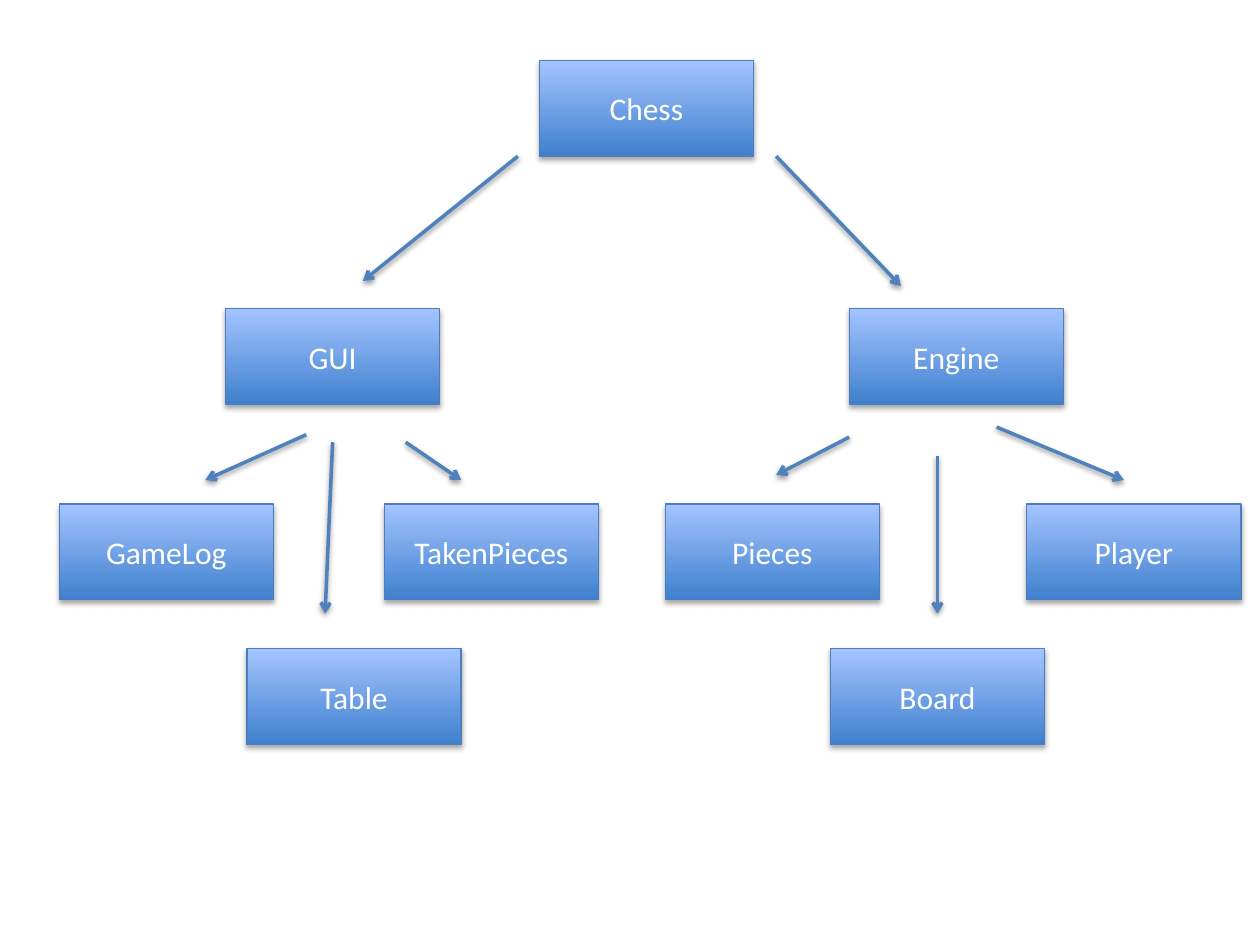
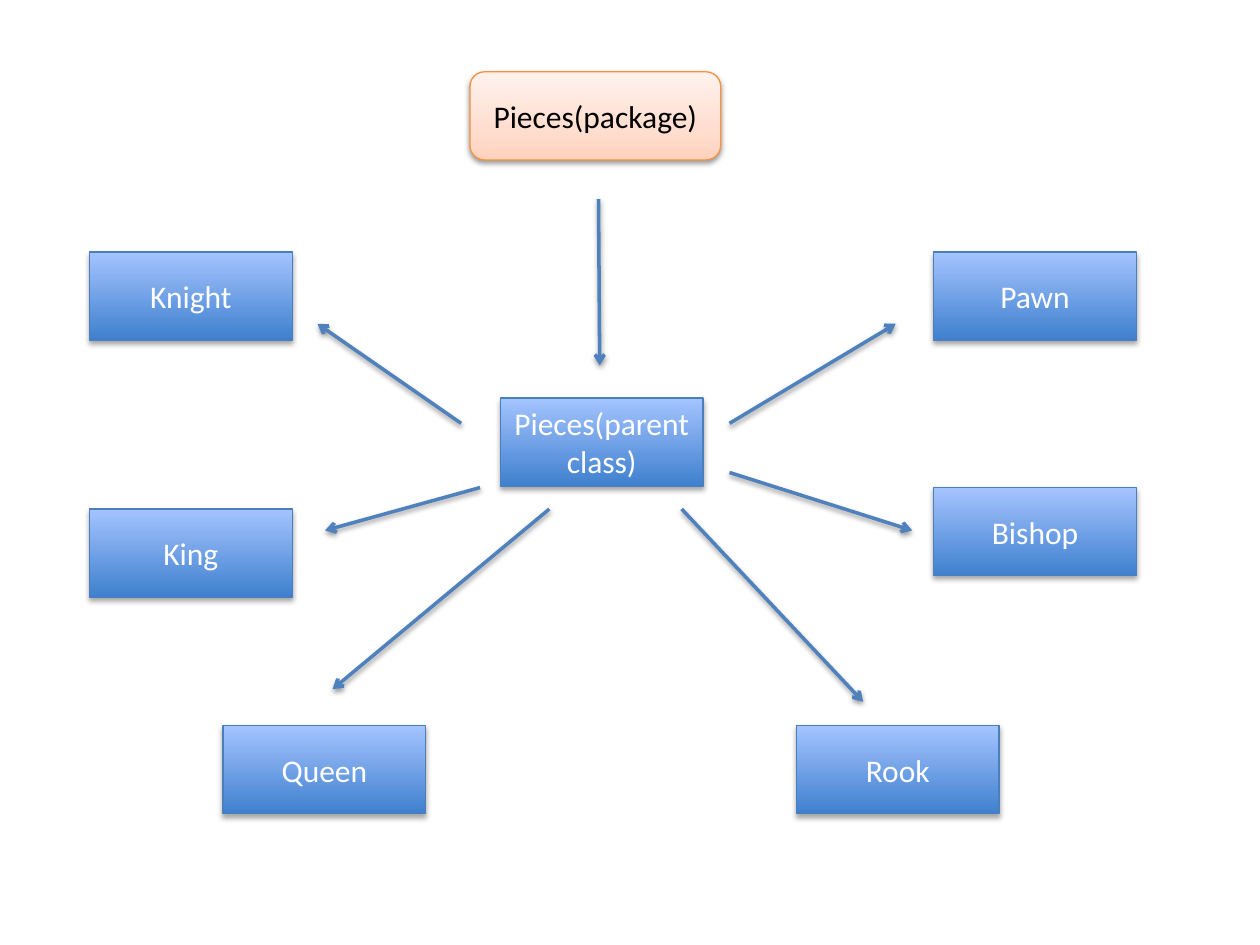
from copy import deepcopy

from lxml import etree
from pptx import Presentation
from pptx.dml.color import RGBColor
from pptx.enum.shapes import MSO_CONNECTOR, MSO_SHAPE
from pptx.enum.text import MSO_ANCHOR, PP_ALIGN
from pptx.oxml.ns import qn
from pptx.util import Inches, Pt

RECTANGLE, ROUNDED = MSO_SHAPE.RECTANGLE, MSO_SHAPE.ROUNDED_RECTANGLE
STRAIGHT = MSO_CONNECTOR.STRAIGHT
MIDDLE, CENTER = MSO_ANCHOR.MIDDLE, PP_ALIGN.CENTER

WHITE = RGBColor(0xFF, 0xFF, 0xFF)
BLACK = RGBColor(0x00, 0x00, 0x00)
ARROW_BLUE = RGBColor(0x4F, 0x81, 0xBD)
BORDER_BLUE = RGBColor(0x4B, 0x7E, 0xBC)
DEEP_BLUE = RGBColor(0x3F, 0x80, 0xCE)
PALE_BLUE = RGBColor(0xA4, 0xC4, 0xFF)
BORDER_ORANGE = RGBColor(0xF6, 0x92, 0x40)
PEACH = RGBColor(0xFF, 0xD2, 0xBD)
PALE_PEACH = RGBColor(0xFF, 0xDE, 0xD0)
CREAM = RGBColor(0xFF, 0xF2, 0xED)

BLUE_BOX = {
    "outline": RECTANGLE, "border": BORDER_BLUE, "text": WHITE,
    "stops": [(0, DEEP_BLUE), (1, PALE_BLUE)],
    "shadow": {"alpha": 35, "distance": 1.8},
}
PACKAGE_BOX = {
    "outline": ROUNDED, "border": BORDER_ORANGE, "text": BLACK,
    "stops": [(0, PEACH), (0.35, PALE_PEACH), (1, CREAM)],
    "shadow": {"alpha": 38, "distance": 1.6},
}
ARROW_SHADOW = {"alpha": 38, "distance": 1.6}
FONT = {"name": "Calibri", "size": Pt(18)}
FRAME = {"word_wrap": True, "vertical_anchor": MIDDLE}


def apply_format(target, values):
    for attribute, value in values.items():
        setattr(target, attribute, value)


class Diagram:
    def __init__(self, presentation):
        self.presentation = presentation
        self.slide = None

    def new_slide(self):
        blank = self.presentation.slide_layouts[6]
        self.slide = self.presentation.slides.add_slide(blank)

    def add_shadow(self, effects, alpha, distance):
        shadow = etree.SubElement(
            effects, qn("a:outerShdw"), blurRad=str(Pt(3.1)),
            dist=str(Pt(distance)), dir="5400000", rotWithShape="0")
        color = etree.SubElement(shadow, qn("a:srgbClr"), val=str(BLACK))
        etree.SubElement(color, qn("a:alpha"), val=str(alpha * 1000))

    def paint_gradient(self, shape, stops):
        shape.fill.gradient()
        shape.fill.gradient_angle = 90
        stop_list = shape._element.spPr.find(".//" + qn("a:gsLst"))
        for _ in stops[2:]:
            stop_list.append(deepcopy(stop_list[0]))
        for stop, (position, color) in zip(shape.fill.gradient_stops, stops):
            stop.position = position
            stop.color.rgb = color

    def box(self, label, left, top, size, style=BLUE_BOX):
        shape = self.slide.shapes.add_shape(
            style["outline"], *map(Inches, (left, top, *size)))
        self.paint_gradient(shape, style["stops"])
        shape.line.color.rgb = style["border"]
        shape.line.width = Pt(0.75)
        shape.shadow.inherit = False
        effects = shape._element.spPr.find(qn("a:effectLst"))
        self.add_shadow(effects, **style["shadow"])
        frame = shape.text_frame
        apply_format(frame, FRAME)
        paragraph = frame.paragraphs[0]
        paragraph.alignment = CENTER
        run = paragraph.add_run()
        run.text = label
        apply_format(run.font, FONT)
        run.font.color.rgb = style["text"]

    def arrow(self, start, end):
        connector = self.slide.shapes.add_connector(
            STRAIGHT, *map(Inches, (*start, *end)))
        connector.line.color.rgb = ARROW_BLUE
        connector.line.width = Pt(2)
        properties = connector._element.spPr
        etree.SubElement(properties.find(qn("a:ln")), qn("a:tailEnd"), type="arrow")
        effects = etree.SubElement(properties, qn("a:effectLst"))
        self.add_shadow(effects, **ARROW_SHADOW)

    def graph(self, boxes, size, arrows):
        for label, left, top in boxes:
            self.box(label, left, top, size)
        for start, end in arrows:
            self.arrow(start, end)


def add_chess_structure(diagram):
    diagram.new_slide()
    sides, children, grandchildren = 2.45, 4, 5.15
    modules = [
        ("Chess", 4.28, 0.48),
        ("GUI", 1.79, sides),
        ("Engine", 6.74, sides),
        ("GameLog", 0.47, children),
        ("TakenPieces", 3.05, children),
        ("Pieces", 5.28, children),
        ("Player", 8.15, children),
        ("Table", 1.96, grandchildren),
        ("Board", 6.59, grandchildren),
    ]
    arrows = [
        ((4.11, 1.24), (2.88, 2.23)),
        ((6.16, 1.24), (7.15, 2.27)),
        ((2.43, 3.45), (1.63, 3.81)),
        ((2.64, 3.51), (2.58, 4.87)),
        ((3.22, 3.51), (3.66, 3.81)),
        ((6.74, 3.47), (6.16, 3.77)),
        ((7.44, 3.62), (7.44, 4.87)),
        ((7.91, 3.39), (8.92, 3.81)),
    ]
    diagram.graph(modules, (1.7, 0.76), arrows)


def add_piece_classes(diagram):
    diagram.new_slide()
    left, right, upper, lower = 0.71, 7.41, 2, 5.76
    classes = [
        ("Pieces(parent class)", 3.97, 3.16),
        ("Knight", left, upper),
        ("King", left, 4.04),
        ("Queen", 1.77, lower),
        ("Pawn", right, upper),
        ("Bishop", right, 3.87),
        ("Rook", 6.32, lower),
    ]
    arrows = [
        ((4.75, 1.58), (4.76, 2.9)),
        ((3.66, 3.36), (2.52, 2.57)),
        ((3.81, 3.87), (2.58, 4.21)),
        ((4.36, 4.04), (2.64, 5.47)),
        ((5.79, 3.36), (7.11, 2.57)),
        ((5.79, 3.75), (7.24, 4.21)),
        ((5.41, 4.04), (6.85, 5.57)),
    ]
    diagram.box("Pieces(package)", 3.73, 0.57, (1.99, 0.7), PACKAGE_BOX)
    diagram.graph(classes, (1.61, 0.7), arrows)


def main():
    presentation = Presentation()
    presentation.slide_width = Inches(10)
    presentation.slide_height = Inches(7.5)
    diagram = Diagram(presentation)
    add_chess_structure(diagram)
    add_piece_classes(diagram)
    presentation.save("out.pptx")


if __name__ == "__main__":
    main()
